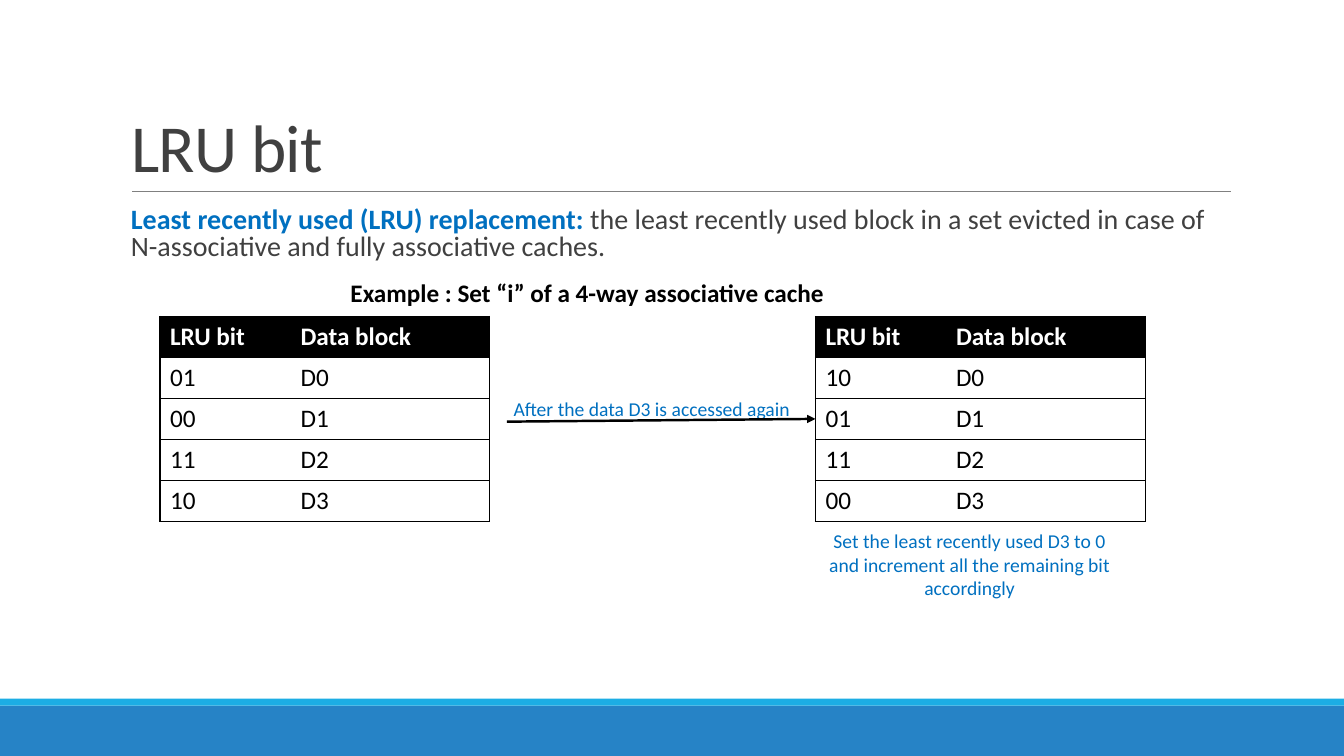
from lxml.etree import SubElement
from pptx import Presentation
from pptx.dml.color import RGBColor
from pptx.enum.shapes import MSO_CONNECTOR, MSO_SHAPE
from pptx.enum.text import MSO_ANCHOR, PP_ALIGN
from pptx.oxml import parse_xml
from pptx.oxml.ns import nsdecls, qn
from pptx.util import Pt

BLACK = RGBColor(0x00, 0x00, 0x00)
WHITE = RGBColor(0xFF, 0xFF, 0xFF)
DARK = RGBColor(0x40, 0x40, 0x40)
GREY = RGBColor(0x80, 0x80, 0x80)
BLUE = RGBColor(0x00, 0x70, 0xC0)
BAND_BLUE = RGBColor(0x26, 0x83, 0xC6)
BAND_CYAN = RGBColor(0x1C, 0xAD, 0xE4)

FONT = "Calibri"
WIDTH, HEIGHT = 960, 540
ROW_HEIGHT = 29.25
COLUMN_WIDTHS = (93.2, 142.4)
HEADERS = ("LRU bit", "Data block")
BLOCKS = ("D0", "D1", "D2", "D3")


def apply(target, values):
    """Set every attribute named in values on target."""
    for name, value in values.items():
        setattr(target, name, value)


def write(paragraph, text, size, color, bold=False):
    """Add a formatted run to a paragraph and return it."""
    run = paragraph.add_run()
    run.text = text
    apply(run.font, {"name": FONT, "size": Pt(size), "bold": bold})
    run.font.color.rgb = color
    return run


def add_rectangle(slide, box, color):
    """Add a plain filled rectangle in the box."""
    rectangle = slide.shapes.add_shape(MSO_SHAPE.RECTANGLE, *map(Pt, box))
    rectangle.shadow.inherit = False
    rectangle.fill.solid()
    rectangle.fill.fore_color.rgb = color
    rectangle.line.fill.background()
    return rectangle


def add_line(slide, start, end, color, width, arrow=False):
    """Draw a straight line, with an arrowhead at its end if asked."""
    line = slide.shapes.add_connector(MSO_CONNECTOR.STRAIGHT, *map(Pt, start + end))
    line.line.color.rgb = color
    line.line.width = Pt(width)
    if arrow:
        SubElement(line.line._get_or_add_ln(), qn("a:tailEnd"), type="triangle")
    SubElement(line._element.spPr, qn("a:effectLst"))


def add_text_area(slide, box):
    """Add a wrapping text box and return its first paragraph."""
    frame = slide.shapes.add_textbox(*map(Pt, box)).text_frame
    frame.word_wrap = True
    return frame.paragraphs[0]


def add_footer_bands(slide, box):
    """Fill the box with the footer band and its thin strip on top."""
    left, top, width, height = box
    strip = 5
    add_rectangle(slide, (left, top + strip, width, height - strip), BAND_BLUE)
    add_rectangle(slide, (left, top, width, strip), BAND_CYAN)


def add_heading(slide, box):
    """Place the title in the box with a rule along its lower edge."""
    left, top, width, height = box
    title = slide.shapes.title
    apply(title, dict(zip(("left", "top", "width", "height"), map(Pt, box))))
    apply(title.text_frame, {"vertical_anchor": MSO_ANCHOR.BOTTOM, "word_wrap": True})
    heading = title.text_frame.paragraphs[0]
    apply(heading, {"alignment": PP_ALIGN.LEFT, "line_spacing": 0.85})
    run = write(heading, "LRU bit", 48, DARK)
    run._r.get_or_add_rPr().set("spc", "-50")
    rule_y = top + height
    add_line(slide, (left + 8, rule_y), (left + width + 0.7, rule_y), GREY, 0.5)


def add_definition(slide, box):
    """Write the definition of LRU replacement in the box."""
    definition = add_text_area(slide, box)
    apply(definition, {"line_spacing": 0.8, "space_before": Pt(12), "space_after": Pt(2)})
    write(definition, "Least recently used (LRU) replacement: ", 20, BLUE, True)
    write(definition, "the least recently used block in a set evicted in case of "
          "N-associative and fully associative caches.", 20, DARK)


def set_borders(cell, visible):
    """Draw black borders on the visible sides and none on the others."""
    properties = cell._tc.get_or_add_tcPr()
    for index, side in enumerate("LRTB"):
        paint = '<a:solidFill><a:srgbClr val="000000"/></a:solidFill>' if side in visible else "<a:noFill/>"
        properties.insert(index, parse_xml(
            f'<a:ln{side} {nsdecls("a")} w="{Pt(1)}">{paint}</a:ln{side}>'))


def add_cache_set(slide, corner, bits):
    """Add the table of LRU bits and data blocks at the corner."""
    rows = [HEADERS, *zip(bits, BLOCKS)]
    size = (sum(COLUMN_WIDTHS), ROW_HEIGHT * len(rows))
    table = slide.shapes.add_table(len(rows), len(HEADERS), *map(Pt, corner + size)).table
    table.horz_banding = False
    for column, width in zip(table.columns, COLUMN_WIDTHS):
        column.width = Pt(width)
    for r, texts in enumerate(rows):
        header = r == 0
        table.rows[r].height = Pt(ROW_HEIGHT)
        for c, text in enumerate(texts):
            cell = table.cell(r, c)
            cell.fill.solid()
            cell.fill.fore_color.rgb = BLACK if header else WHITE
            set_borders(cell, ("LTB", "RTB")[c])
            write(cell.text_frame.paragraphs[0], text, 18, WHITE if header else BLACK, header)


def add_note(slide, box, text):
    """Add a white box with a centred blue note."""
    frame = add_rectangle(slide, box, WHITE).text_frame
    apply(frame, {"word_wrap": True, "vertical_anchor": MSO_ANCHOR.TOP})
    note = frame.paragraphs[0]
    note.alignment = PP_ALIGN.CENTER
    write(note, text, 14, BLUE)


def add_example(slide, box):
    """Show the cache set before and after the access inside the box."""
    left, top, width, height = box
    table_top = top + 31.5
    after_left = left + width - sum(COLUMN_WIDTHS)
    add_cache_set(slide, (left, table_top), ("01", "00", "11", "10"))
    caption = add_text_area(slide, (left + 129, top, 360, 29))
    write(caption, "Example : Set “i” of a 4-way associative cache", 18, BLACK, True)
    add_cache_set(slide, (after_left, table_top), ("10", "01", "11", "00"))
    add_note(slide, (left + 241.2, top + 85.7, 220.3, 24.5), "After the data D3 is accessed again")
    add_line(slide, (left + 247.7, top + 106.6), (after_left, top + 104.6), BLACK, 1.75, arrow=True)
    add_note(slide, (after_left, top + height - 58.3, 220.3, 58.3),
             "Set the least recently used D3 to 0 and increment all the remaining bit accordingly")


def main():
    """Build the slide and save it."""
    deck = Presentation()
    apply(deck, {"slide_width": Pt(WIDTH), "slide_height": Pt(HEIGHT)})
    slide = deck.slides.add_slide(deck.slide_layouts[5])
    add_footer_bands(slide, (0, 499, WIDTH, 41))
    add_heading(slide, (86.4, 22.3, 792, 114.5))
    add_definition(slide, (86.4, 145.4, 792, 50))
    add_example(slide, (114.3, 194.6, 703.8, 238.1))
    deck.save("out.pptx")


main()
